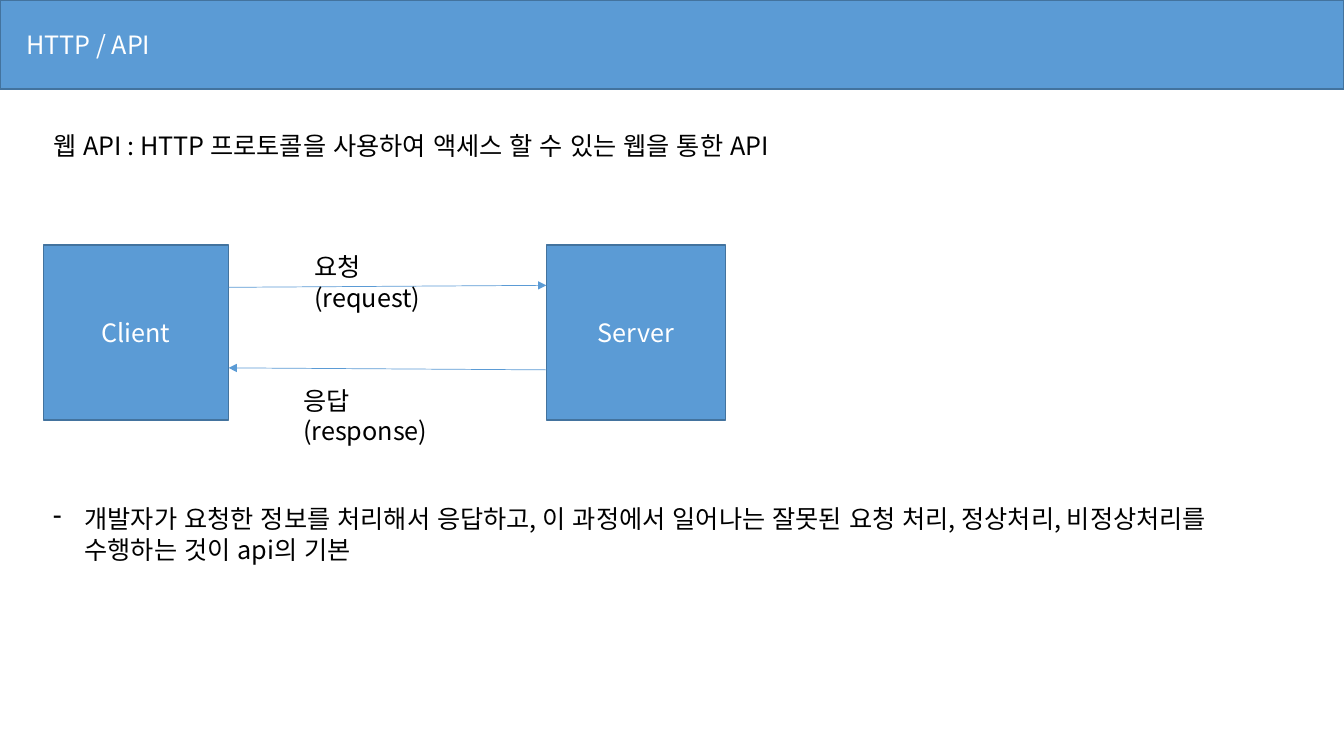
from pptx import Presentation
from pptx.dml.color import RGBColor
from pptx.enum.lang import MSO_LANGUAGE_ID as Lang
from pptx.enum.shapes import MSO_CONNECTOR as Line, MSO_SHAPE as Shape
from pptx.enum.text import MSO_ANCHOR as Anchor, MSO_AUTO_SIZE as Auto, PP_ALIGN as Align
from pptx.oxml.ns import qn
from pptx.util import Cm, Pt
from lxml.etree import SubElement

# Content
TITLE = "HTTP / API"
INTRO = "웹 API : HTTP 프로토콜을 사용하여 액세스 할 수 있는 웹을 통한 API"
NOTE = ("개발자가 요청한 정보를 처리해서 응답하고, 이 과정에서 일어나는 잘못된 요청 처리, "
        "정상처리, 비정상처리를 수행하는 것이 api의 기본")
NODES = [("Client", 1.09, 4.67), ("Server", 13.77, 4.52)]  # name, left, width
LABELS = [("요청(request)", 7.67, 6.22, 4.22), ("응답(response)", 7.39, 9.58, 4.7)]

# Style and layout, in cm
FONT = "Noto Sans CJK KR"
BLUE = RGBColor(0x5B, 0x9B, 0xD5)
EDGE = RGBColor(0x43, 0x73, 0x9E)
WHITE = RGBColor(0xFF, 0xFF, 0xFF)
BLACK = RGBColor(0, 0, 0)
WIDE, HIGH = 33.87, 19.05
LEFT, TOP, TALL, ROW = 1.09, 6.17, 4.42, 1.02

deck = Presentation()
deck.slide_width, deck.slide_height = Cm(WIDE), Cm(HIGH)
slide = deck.slides.add_slide(deck.slide_layouts[6])
shapes = slide.shapes


def write(shape, text, color=BLACK, align=Align.LEFT, anchor=Anchor.TOP,
          wrap=True, grow=False, inset=0.25, bullet=None):
    frame = shape.text_frame
    frame.word_wrap = wrap
    frame.auto_size = Auto.SHAPE_TO_FIT_TEXT if grow else Auto.NONE
    frame.vertical_anchor = anchor
    frame.margin_left = Cm(inset)
    para = frame.paragraphs[0]
    para.alignment = align
    run = para.add_run()
    run.text = text
    font = run.font
    font.name, font.size, font.color.rgb = FONT, Pt(18), color
    font.language_id = Lang.KOREAN
    SubElement(run._r.get_or_add_rPr(), qn("a:ea"), typeface=FONT)
    if bullet:
        props = para._p.get_or_add_pPr()
        props.set("marL", str(Cm(0.79)))
        props.set("indent", str(-Cm(0.79)))
        SubElement(props, qn("a:buFontTx"))
        SubElement(props, qn("a:buChar"), char=bullet)


def block(x, y, w, h, text, **style):
    box = shapes.add_shape(Shape.RECTANGLE, Cm(x), Cm(y), Cm(w), Cm(h))
    box.shadow.inherit = False
    box.fill.solid()
    box.fill.fore_color.rgb = BLUE
    box.line.color.rgb = EDGE
    box.line.width = Pt(1)
    write(box, text, color=WHITE, anchor=Anchor.MIDDLE, **style)


def label(x, y, w, h, text, **style):
    write(shapes.add_textbox(Cm(x), Cm(y), Cm(w), Cm(h)), text, **style)


def arrow(x1, y1, x2, y2):
    line = shapes.add_connector(Line.STRAIGHT, Cm(x1), Cm(y1), Cm(x2), Cm(y2))
    line.line.color.rgb = BLUE
    line.line.width = Pt(0.5)
    SubElement(line.line._get_or_add_ln(), qn("a:tailEnd"), type="triangle")
    SubElement(line._element.spPr, qn("a:effectLst"))


# Title band
block(0, 0, WIDE, 2.24, TITLE, inset=0.66)

# Client and server
for name, x, w in NODES:
    block(x, TOP, w, TALL, name, align=Align.CENTER)

# Request and response
near, far = NODES[0][1] + NODES[0][2], NODES[1][1]
arrow(near, 7.24, far, 7.19)
arrow(far, 9.32, near, 9.27)
for text, x, y, w in LABELS:
    label(x, y, w, ROW, text, grow=True)

# Text above and below
label(LEFT, 3.15, 20.73, ROW, INTRO, wrap=False, grow=True)
label(LEFT, 12.57, 31.14, 4.11, NOTE, grow=True, bullet="-")

deck.save("out.pptx")
